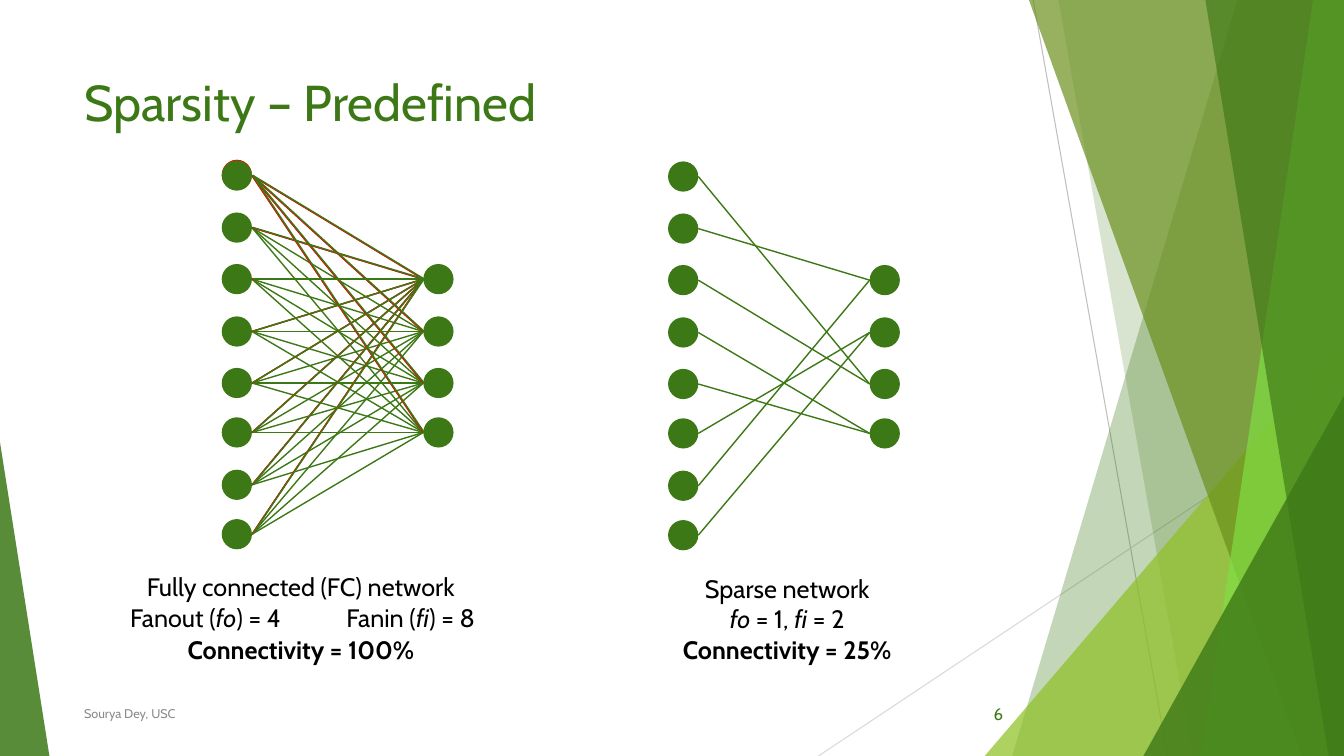
"""Build a slide comparing a fully connected network with a predefined sparse one."""
from itertools import product

from lxml.etree import SubElement
from pptx import Presentation
from pptx.dml.color import RGBColor
from pptx.enum.shapes import MSO_CONNECTOR, MSO_SHAPE
from pptx.enum.text import MSO_ANCHOR, MSO_AUTO_SIZE, PP_ALIGN
from pptx.oxml.ns import qn
from pptx.util import Pt

COLORS = {
    "green": "3D7816", "lime": "8FC126", "olive": "6B911D", "bright": "81DD44",
    "red": "FF0000", "black": "000000", "grey": "8C8C8C",
    "rule_dark": "BFBFBF", "rule_light": "D9D9D9",
}
WIDTH, HEIGHT = 960, 540
FONT = "Cabin"
NODE = 21.6
LAYER_GAP = 144
ROWS = [125.4, 162.6, 199.4, 236.8, 273.6, 308.9, 346.3, 381.6]
OUTPUT_ROWS = ROWS[2:6]
FULL_EDGES = list(product(range(8), range(4)))
MARKED_EDGES = [(i, j) for i, j in FULL_EDGES if i == 0 or j == 0]
SPARSE_EDGES = list(enumerate([2, 0, 2, 3, 3, 1, 0, 1]))


def rgb(name):
    return RGBColor.from_string(COLORS[name])


def paint(s, color, alpha=100):
    s.shadow.inherit = False
    s.fill.solid()
    s.fill.fore_color.rgb = rgb(color)
    s.line.fill.background()
    if alpha < 100:
        clr = s._element.spPr.find(".//" + qn("a:srgbClr"))
        SubElement(clr, qn("a:alpha")).set("val", str(alpha * 1000))


def add_panel(slide, top_x, bottom_x, color, alpha):
    builder = slide.shapes.build_freeform(top_x, 0, scale=Pt(1))
    builder.add_line_segments([(WIDTH, 0), (WIDTH, HEIGHT), (bottom_x, HEIGHT)])
    paint(builder.convert_to_shape(), color, alpha)


def add_triangle(slide, x, y, w, apex, color, alpha):
    s = slide.shapes.add_shape(MSO_SHAPE.ISOSCELES_TRIANGLE,
                               Pt(x), Pt(y), Pt(w), Pt(HEIGHT - y))
    s.adjustments[0] = apex
    paint(s, color, alpha)


def add_line(slide, x1, y1, x2, y2, color, width=1):
    s = slide.shapes.add_connector(MSO_CONNECTOR.STRAIGHT,
                                   Pt(x1), Pt(y1), Pt(x2), Pt(y2))
    s.line.color.rgb = rgb(color)
    s.line.width = Pt(width)
    SubElement(s._element.spPr, qn("a:effectLst"))


def add_node(slide, x, mid_y, color="green"):
    s = slide.shapes.add_shape(MSO_SHAPE.OVAL, Pt(x), Pt(mid_y - NODE / 2),
                               Pt(NODE), Pt(NODE))
    paint(s, color)


def add_edges(slide, x, y, edges, color):
    for i, j in edges:
        add_line(slide, x + NODE, y + ROWS[i],
                 x + LAYER_GAP, y + OUTPUT_ROWS[j], color)


def add_nodes(slide, x, y):
    for row in ROWS:
        add_node(slide, x, y + row)
    for row in OUTPUT_ROWS:
        add_node(slide, x + LAYER_GAP, y + row)


def style_run(r, size, color):
    r.font.name = FONT
    r.font.size = Pt(size)
    r.font.color.rgb = rgb(color)


def add_text(slide, box, lines, size=18, color="black", align=PP_ALIGN.CENTER,
             anchor=MSO_ANCHOR.TOP, wrap=False):
    """Add a text box; each line is a list of (text, style), style "", "i" or "b"."""
    tf = slide.shapes.add_textbox(*map(Pt, box)).text_frame
    tf.word_wrap = wrap
    tf.vertical_anchor = anchor
    for n, line in enumerate(lines):
        p = tf.add_paragraph() if n else tf.paragraphs[0]
        p.alignment = align
        for text, style in line:
            r = p.add_run()
            r.text = text
            style_run(r, size, color)
            r.font.italic = style == "i"
            r.font.bold = style == "b"


def add_title(slide, text):
    s = slide.shapes.title
    s.left, s.top, s.width, s.height = Pt(53), Pt(47.5), Pt(677), Pt(104)
    tf = s.text_frame
    tf.text = text
    tf.auto_size = MSO_AUTO_SIZE.NONE
    tf.vertical_anchor = MSO_ANCHOR.TOP
    p = tf.paragraphs[0]
    p.alignment = PP_ALIGN.LEFT
    style_run(p.runs[0], 36, "green")


def add_backdrop(slide):
    add_line(slide, 738, 0, 834, HEIGHT, "rule_dark", 0.75)
    add_line(slide, WIDTH, 290, 584.6, HEIGHT, "rule_light", 0.75)
    add_panel(slide, 884.2, 722.9, "green", 30)
    add_panel(slide, 756, 851.8, "green", 20)
    add_triangle(slide, 703.4, 240, 256.6, 1, "lime", 72)
    add_panel(slide, 735.1, 929.5, "olive", 70)
    add_panel(slide, 938.2, 858.2, "bright", 70)
    add_panel(slide, 861.1, 949, "green", 65)
    add_triangle(slide, 816.7, 282.7, 143.3, 1, "green", 80)
    add_triangle(slide, 0, 316, 35.3, 0, "green", 85)


def add_full_network(slide, x):
    add_edges(slide, x, 0, FULL_EDGES, "green")
    add_edges(slide, x, 0, MARKED_EDGES, "red")
    add_edges(slide, x + 0.5, -0.2, MARKED_EDGES, "green")
    add_node(slide, x, ROWS[0] - 0.5, "red")
    add_nodes(slide, x, 0)


def add_sparse_network(slide, x):
    add_edges(slide, x, 0.7, SPARSE_EDGES, "green")
    add_nodes(slide, x, 0.7)


def add_captions(slide):
    add_text(slide, (87, 404.6, 255.6, 29), [[("Fully connected (FC) network", "")]])
    add_text(slide, (78.5, 427, 136.8, 29),
             [[("Fanout (", ""), ("fo", "i"), (") = 4", "")]])
    add_text(slide, (233.3, 427, 120.2, 29),
             [[("Fanin (", ""), ("fi", "i"), (") = 8", "")]])
    add_text(slide, (121, 449.3, 188, 29), [[("Connectivity = 100%", "b")]])
    add_text(slide, (473.8, 406, 177, 72.7), [
        [("Sparse network", "")],
        [("fo", "i"), (" = 1, ", ""), ("fi", "i"), (" = 2", "")],
        [("Connectivity = 25%", "b")],
    ])


def add_footer(slide):
    add_text(slide, (53, 495.4, 496, 28.8), [[("Sourya Dey, USC", "")]], 9, "grey",
             PP_ALIGN.LEFT, MSO_ANCHOR.MIDDLE, True)
    add_text(slide, (669.6, 495.4, 54, 28.8), [[("6", "")]], 12, "green",
             PP_ALIGN.RIGHT, MSO_ANCHOR.MIDDLE, True)


def main():
    prs = Presentation()
    prs.slide_width, prs.slide_height = Pt(WIDTH), Pt(HEIGHT)
    slide = prs.slides.add_slide(prs.slide_layouts[5])
    add_backdrop(slide)
    add_title(slide, "Sparsity – Predefined")
    add_full_network(slide, 158.4)
    add_sparse_network(slide, 477.2)
    add_captions(slide)
    add_footer(slide)
    prs.save("out.pptx")


if __name__ == "__main__":
    main()
